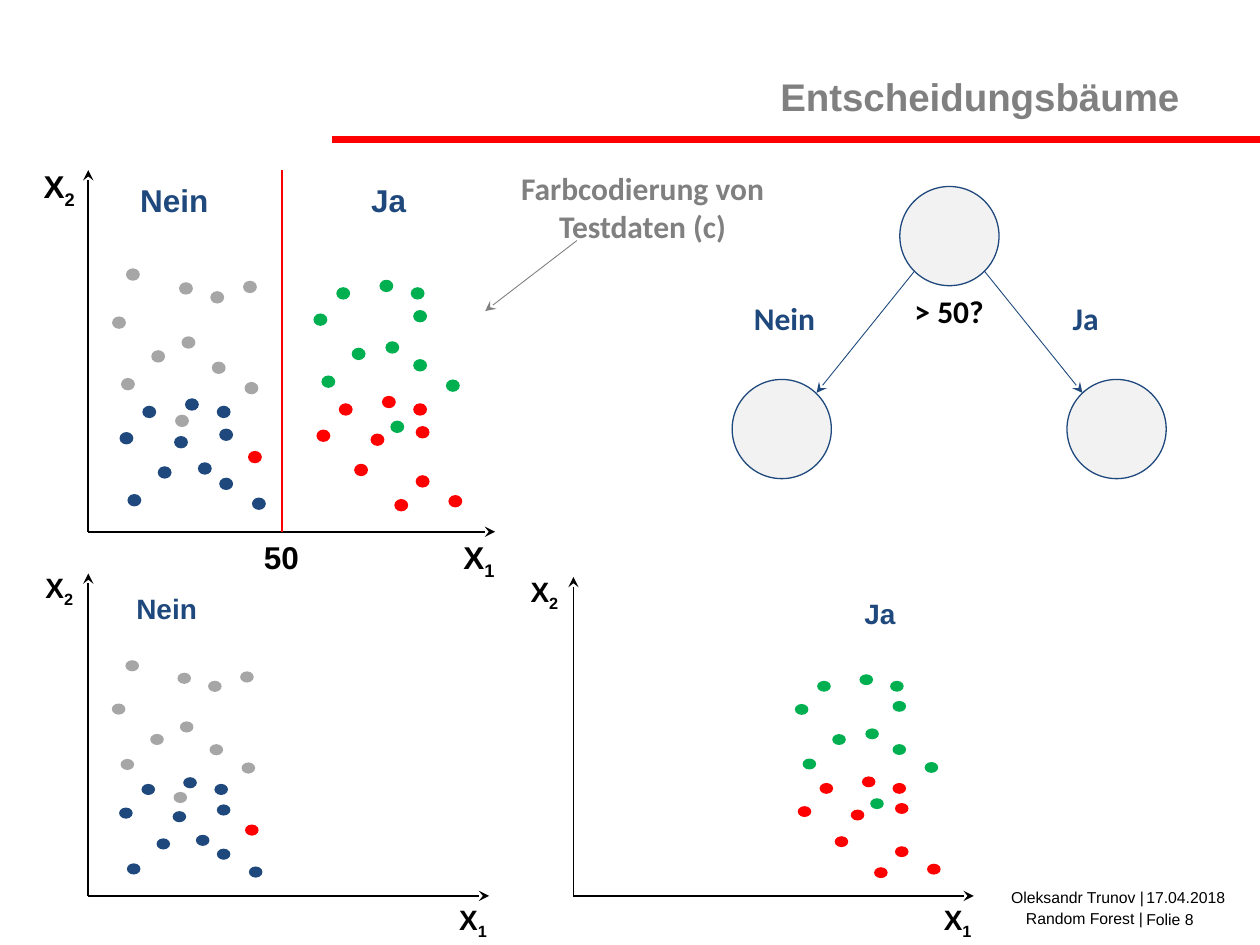
from lxml import etree
from pptx import Presentation
from pptx.dml.color import RGBColor
from pptx.enum.shapes import MSO_CONNECTOR, MSO_SHAPE
from pptx.enum.text import MSO_ANCHOR, PP_ALIGN
from pptx.oxml.ns import qn
from pptx.util import Cm, Pt

STRAIGHT = MSO_CONNECTOR.STRAIGHT
OVAL = MSO_SHAPE.OVAL
LEFT, CENTER, RIGHT = PP_ALIGN.LEFT, PP_ALIGN.CENTER, PP_ALIGN.RIGHT
TOP, MIDDLE = MSO_ANCHOR.TOP, MSO_ANCHOR.MIDDLE

BLACK, RED, BLUE, GREEN = "000000", "FF0000", "1F497D", "00B050"
GRAY, LIGHT_GRAY, PALE = "808080", "A6A6A6", "F2F2F2"

NO_DOTS = {
    RED: [(5, 9.09)],
    BLUE: [(3.73, 8.03), (4.42, 8.64), (4.37, 8.18), (3.99, 9.32),
           (3.51, 8.79), (5.08, 10.03), (4.42, 9.63), (2.41, 8.71),
           (2.87, 8.18), (3.18, 9.4), (2.57, 9.96)],
    LIGHT_GRAY: [(3.61, 5.69), (4.9, 5.66), (4.24, 5.87), (3.53, 8.36),
                 (3.66, 6.78), (4.93, 7.7), (4.27, 7.29), (2.26, 6.38),
                 (2.54, 5.41), (3.05, 7.06), (2.44, 7.62)],
}
YES_DOTS = {
    RED: [(7.7, 7.98), (8.38, 8.59), (8.33, 8.13), (7.47, 8.74),
          (9.04, 9.98), (8.38, 9.58), (6.38, 8.66), (6.83, 8.13),
          (7.14, 9.35), (7.95, 10.06)],
    GREEN: [(7.65, 5.64), (8.33, 6.25), (8.28, 5.79), (7.87, 8.48),
            (7.77, 6.88), (8.99, 7.65), (8.33, 7.24), (6.32, 6.32),
            (6.78, 5.79), (7.09, 7.01), (6.48, 7.57)],
}


def color(value):
    """Turn a hex string into a colour."""
    return RGBColor.from_string(value)


def add_text(page, text, left, top, width, height, size=18, font="Arial",
             fill=BLACK, bold=True, align=CENTER, anchor=TOP, subscript=""):
    """Add a one-paragraph text box with an optional subscript."""
    box = page.shapes.add_textbox(Cm(left), Cm(top), Cm(width), Cm(height))
    box.text_frame.word_wrap = True
    box.text_frame.vertical_anchor = anchor
    para = box.text_frame.paragraphs[0]
    para.alignment = align
    for part in filter(None, (text, subscript)):
        span = para.add_run()
        span.text = part
        span.font.name = font
        span.font.size = Pt(size)
        span.font.bold = bold
        span.font.color.rgb = color(fill)
    if subscript:
        span.font._element.set("baseline", "-25000")


def add_line(page, start, end, stroke=BLACK, weight=1, arrow=False):
    """Add a straight line, with a stealth arrowhead at its end if asked."""
    line = page.shapes.add_connector(
        STRAIGHT, Cm(start[0]), Cm(start[1]), Cm(end[0]), Cm(end[1]))
    line.line.color.rgb = color(stroke)
    line.line.width = Pt(weight)
    if arrow:
        outline = line.line._get_or_add_ln()
        etree.SubElement(outline, qn("a:tailEnd"), type="stealth")
    etree.SubElement(line._element.spPr, qn("a:effectLst"))


def add_ellipse(page, left, top, width, height, fill, stroke=None):
    """Add a filled ellipse, outlined only when a stroke is given."""
    shape = page.shapes.add_shape(
        OVAL, Cm(left), Cm(top), Cm(width), Cm(height))
    shape.shadow.inherit = False
    shape.fill.solid()
    shape.fill.fore_color.rgb = color(fill)
    if stroke:
        shape.line.color.rgb = color(stroke)
        shape.line.width = Pt(0.75)
    else:
        shape.line.fill.background()


def add_axes(page, left, top, right, bottom, size):
    """Add both axes of a plot and their names."""
    add_line(page, (left, bottom), (left, top), arrow=True)
    add_line(page, (left, bottom), (right, bottom), arrow=True)
    add_text(page, "X", right - 1.7, bottom, 2.75, 1, size=size, subscript="1")
    add_text(page, "X", left - 1.96, top - 0.18, 2.75, 1, size=size,
             subscript="2")


def add_dots(page, groups, scale=(1, 1), shift=(0, 0)):
    """Add coloured dots, scaled and shifted from the main plot."""
    for fill, points in groups.items():
        for x, y in points:
            add_ellipse(page, x * scale[0] + shift[0], y * scale[1] + shift[1],
                        0.28 * scale[0], 0.25 * scale[1], fill)


def add_tree(page):
    """Add the decision tree with its question and branches."""
    for left, top in ((18.14, 3.76), (14.76, 7.65), (21.51, 7.65)):
        add_ellipse(page, left, top, 2, 2, PALE, stroke=BLUE)
    for start, end in ((18.44, 16.46), (19.84, 21.82)):
        add_line(page, (start, 5.46), (end, 7.92), BLUE, 0.5, arrow=True)
    for text, left, top, fill in (("> 50?", 17.75, 5.77, BLACK),
                                  ("Ja", 20.5, 5.9, BLUE),
                                  ("Nein", 14.43, 5.9, BLUE)):
        add_text(page, text, left, top, 2.77, 1.02, font="Calibri", fill=fill)


def add_plots(page):
    """Add the full plot and the two plots of its halves."""
    add_axes(page, 1.78, 3.43, 9.98, 10.72, 18)
    add_line(page, (5.69, 10.72), (5.69, 3.43), RED)
    add_text(page, "50", 4.42, 10.72, 2.51, 1.02)
    add_text(page, "Ja", 6.58, 3.53, 2.51, 1.02, fill=BLUE)
    add_text(page, "Nein", 2.26, 3.53, 2.51, 1.02, fill=BLUE)
    add_dots(page, YES_DOTS)
    add_dots(page, NO_DOTS)

    add_axes(page, 11.56, 11.63, 19.63, 18.06, 16)
    add_text(page, "Ja", 16.51, 11.91, 2.46, 0.94, size=16, fill=BLUE)
    add_dots(page, YES_DOTS, scale=(0.98, 0.88), shift=(9.83, 8.63))

    add_axes(page, 1.78, 11.56, 9.86, 18.06, 16)
    add_text(page, "Nein", 2.13, 11.81, 2.46, 0.94, size=16, fill=BLUE)
    add_dots(page, NO_DOTS, scale=(0.98, 0.9), shift=(0.04, 8.44))


def add_footer(page):
    """Add author, date, topic and page number."""
    for text, left, top, width, align, anchor in (
            ("17.04.2018", 22.86, 17.78, 2.34, LEFT, TOP),
            ("Oleksandr Trunov |", 19.58, 17.78, 3.73, RIGHT, TOP),
            ("Random Forest |", 13.13, 18.26, 10.16, RIGHT, MIDDLE),
            ("Folie 8", 22.86, 18.21, 2.34, LEFT, TOP)):
        add_text(page, text, left, top, width, 0.51, size=9, bold=False,
                 align=align, anchor=anchor)


def main():
    """Build the slide and save the deck."""
    deck = Presentation()
    deck.slide_width, deck.slide_height = Cm(25.4), Cm(19.05)
    page = deck.slides.add_slide(deck.slide_layouts[6])
    add_line(page, (6.7, 2.82), (25.4, 2.82), RED, 4)
    add_text(page, "Entscheidungsbäume", 13.74, 1.35, 10.29, 1.65, size=22,
             fill=GRAY, align=RIGHT)
    add_tree(page)
    add_line(page, (11.63, 4.85), (9.78, 6.27), GRAY, 0.5, arrow=True)
    add_text(page, "Farbcodierung von Testdaten (c)", 9.73, 3.28, 6.45, 1.8,
             font="Calibri", fill=GRAY)
    add_footer(page)
    add_plots(page)
    deck.save("out.pptx")


if __name__ == "__main__":
    main()
